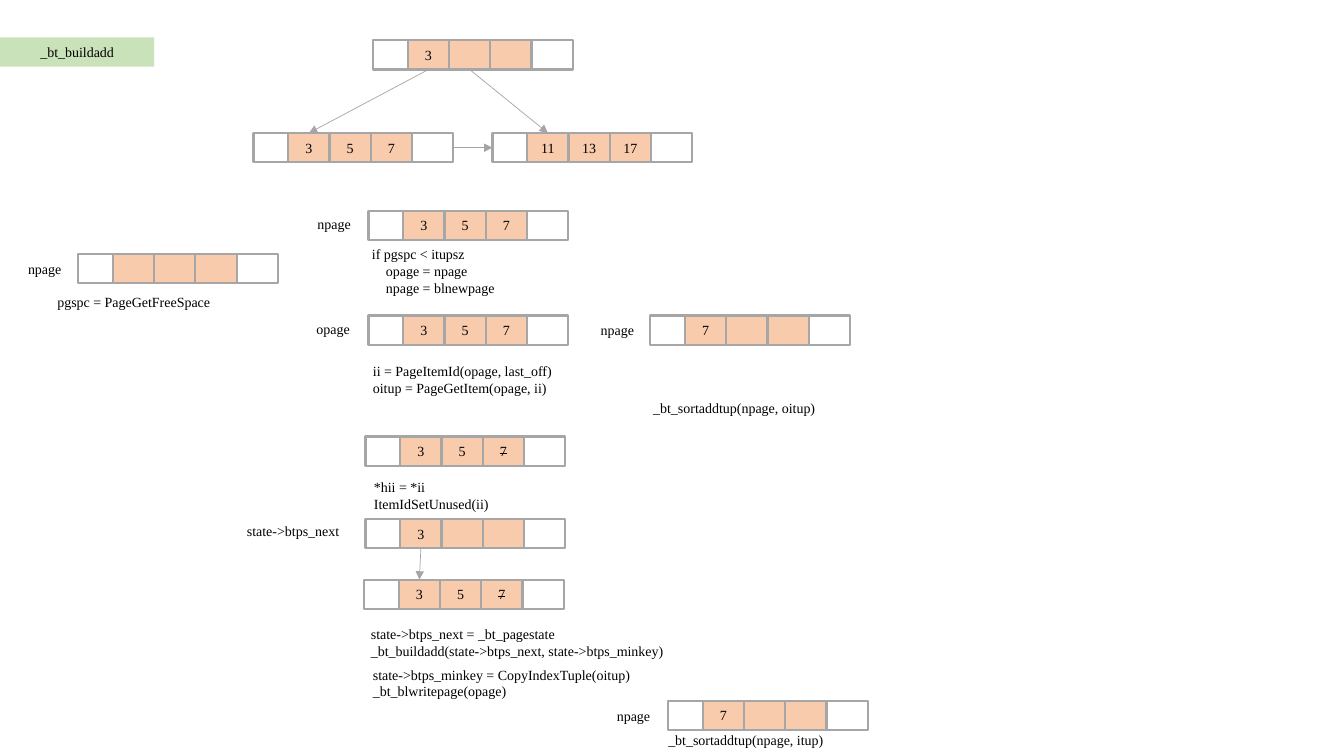
from lxml.etree import SubElement
from pptx import Presentation
from pptx.dml.color import RGBColor
from pptx.enum.shapes import MSO_CONNECTOR as LINE, MSO_SHAPE as SHAPE
from pptx.enum.text import MSO_ANCHOR as ANCHOR, MSO_AUTO_SIZE as FIT, PP_ALIGN as ALIGN
from pptx.oxml.ns import qn
from pptx.util import Inches, Pt

TOP, LEFT, BOTTOM, RIGHT = range(4)


def color(hex_string):
    return RGBColor.from_string(hex_string)


class Page:
    font, size, ink = "Times New Roman", Pt(10), "000000"
    page, key, border, arrow_ink, banner = "FFFFFF", "F8CBAD", "A6A6A6", "A5A5A5", "C5E0B4"
    unit = Inches(0.1)
    widths = [3.45] + [4.09] * 4
    row_height = 2.9

    def __init__(self, prs):
        self.slide = prs.slides.add_slide(prs.slide_layouts[5])

    def grid(self, *lengths):
        return [round(n * self.unit) for n in lengths]

    def format(self, p, align=ALIGN.LEFT, strike=False):
        p.alignment = align
        for r in p.runs:
            r.font.name, r.font.size = self.font, self.size
            r.font.color.rgb = color(self.ink)
            if strike:
                r.font._element.set("strike", "sngStrike")

    def title(self, text, x, y, w, h):
        sp = self.slide.shapes.title
        sp.left, sp.top, sp.width, sp.height = self.grid(x, y, w, h)
        sp.fill.solid()
        sp.fill.fore_color.rgb = color(self.banner)
        SubElement(sp._element.spPr.find(".//" + qn("a:srgbClr")), qn("a:alpha")).set("val", "92000")
        tf = sp.text_frame
        tf.text = text
        tf.auto_size, tf.vertical_anchor = FIT.NONE, ANCHOR.MIDDLE
        self.format(tf.paragraphs[0], ALIGN.CENTER)

    def node(self, x, y, *keys, struck=None):
        group = self.slide.shapes.add_group_shape()
        cells = []
        for i, w in enumerate(self.widths):
            left = x + sum(self.widths[:i])
            sp = group.shapes.add_shape(SHAPE.RECTANGLE, *self.grid(left, y, w, self.row_height))
            sp.shadow.inherit = False
            sp.fill.solid()
            sp.fill.fore_color.rgb = color(self.key if 1 <= i <= 3 else self.page)
            sp.line.color.rgb = color(self.border)
            sp.line.width = Pt(1.5)
            if 1 <= i <= len(keys):
                tf = sp.text_frame
                tf.text = keys[i - 1]
                tf.vertical_anchor = ANCHOR.MIDDLE
                self.format(tf.paragraphs[0], ALIGN.CENTER, keys[i - 1] == struck)
            cells.append(sp)
        return cells

    def text(self, x, y, w, *lines, indent_from=None):
        sp = self.slide.shapes.add_textbox(*self.grid(x, y, w, 1 + 1.7 * len(lines)))
        tf = sp.text_frame
        tf.text = "\n".join(lines)
        tf.word_wrap, tf.auto_size = True, FIT.SHAPE_TO_FIT_TEXT
        for i, p in enumerate(tf.paragraphs):
            self.format(p)
            if indent_from is not None and i >= indent_from:
                p._p.get_or_add_pPr().set("marL", str(Pt(10)))

    def arrow(self, start, start_site, end, end_site):
        cn = self.slide.shapes.add_connector(LINE.STRAIGHT, 0, 0, 0, 0)
        cn.begin_connect(start, start_site)
        cn.end_connect(end, end_site)
        cn.line.color.rgb = color(self.arrow_ink)
        cn.line.width = Pt(0.5)
        SubElement(cn.line._get_or_add_ln(), qn("a:tailEnd")).set("type", "triangle")
        SubElement(cn._element.spPr, qn("a:effectLst"))


prs = Presentation()
prs.slide_width, prs.slide_height = Inches(13.33), Inches(7.5)
page = Page(prs)

page.title("_bt_buildadd", 0, 3.7, 15.3, 2.9)
root = page.node(37, 4, "3")
left_leaf = page.node(25.15, 13.2, "3", "5", "7")
right_leaf = page.node(48.85, 13.2, "11", "13", "17")
page.arrow(root[1], BOTTOM, left_leaf[1], TOP)
page.arrow(root[2], BOTTOM, right_leaf[1], TOP)
page.arrow(left_leaf[-1], RIGHT, right_leaf[0], LEFT)

page.node(7.75, 25.2)
page.node(36.55, 20.9, "3", "5", "7")
page.node(36.55, 31.3, "3", "5", "7")
page.node(64.5, 31.3, "7")
page.node(36.25, 43.3, "3", "5", "7", struck="7")
child = page.node(36.1, 57.5, "3", "5", "7", struck="7")
parent = page.node(36.25, 51.5, "3")
page.arrow(parent[1], BOTTOM, child[1], TOP)
page.node(66.25, 69.5, "7")

for name, x, y in [("npage", 1.8, 25.4), ("npage", 30.5, 20.9), ("opage", 30.4, 31.3),
                   ("npage", 58.6, 31.4), ("npage", 60.2, 69.7)]:
    page.text(x, y, 5.4, name)
page.text(23.5, 51.3, 12.5, "state->btps_next")

page.text(4.7, 28.6, 18.8, "pgspc = PageGetFreeSpace")
page.text(35.9, 23.9, 18.8, "if pgspc < itupsz", "opage = npage", "npage = blnewpage", indent_from=1)
page.text(36, 35.5, 20.8, "ii = PageItemId(opage, last_off)", "oitup = PageGetItem(opage, ii)")
page.text(63.8, 39.1, 20.8, "_bt_sortaddtup(npage, oitup)")
page.text(36.1, 47, 20.8, "*hii = *ii", "ItemIdSetUnused(ii)")
page.text(35.8, 61.6, 32.9, "state->btps_next = _bt_pagestate",
          "_bt_buildadd(state->btps_next, state->btps_minkey)")
page.text(36, 65.6, 27.7, "state->btps_minkey = CopyIndexTuple(oitup)", "_bt_blwritepage(opage)")
page.text(65.3, 72.1, 18.3, "_bt_sortaddtup(npage, itup)")

prs.save("out.pptx")
